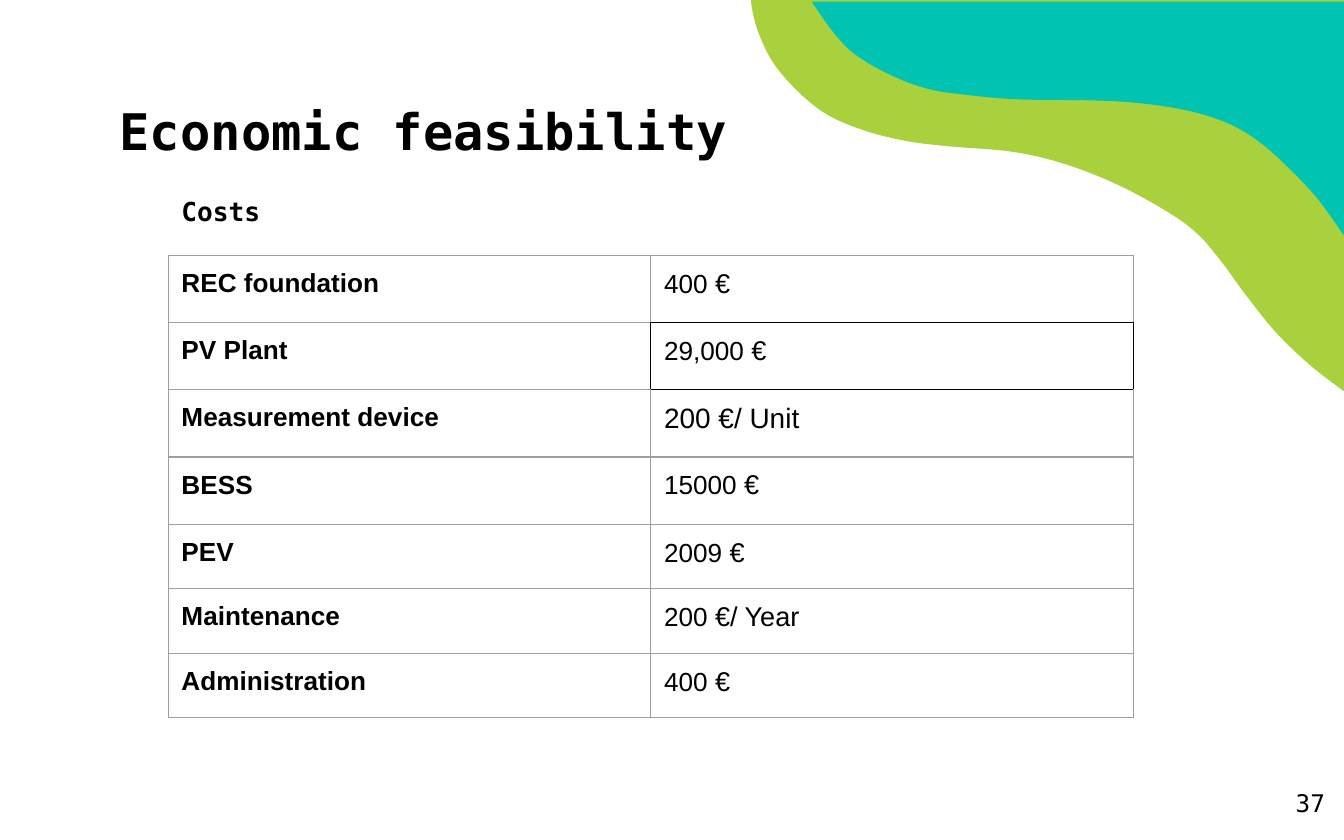
"""Build the economic feasibility slide with its cost table."""
import pptx
import pptx.dml.color
import pptx.enum.text
import pptx.oxml
import pptx.oxml.ns
import pptx.util

Cm = pptx.util.Cm
MONO = "DejaVu Sans Mono"


def rgb(value):
    """Return the colour for a hex string."""
    return pptx.dml.color.RGBColor.from_string(value)


def add_text(tf, text, size=14, font="Arial", color="000000", bold=False, align="LEFT", anchor="TOP"):
    """Add a formatted run to the first paragraph of a text frame."""
    tf.word_wrap = True
    tf.auto_size = pptx.enum.text.MSO_AUTO_SIZE.NONE
    tf.vertical_anchor = getattr(pptx.enum.text.MSO_ANCHOR, anchor)
    tf.margin_left = tf.margin_right = tf.margin_top = tf.margin_bottom = Cm(0.25)
    p = tf.paragraphs[0]
    p.alignment = getattr(pptx.enum.text.PP_ALIGN, align)
    r = p.add_run()
    r.text = text
    r.font.size = pptx.util.Pt(size)
    r.font.name = font
    r.font.bold = bold
    r.font.color.rgb = rgb(color)


prs = pptx.Presentation()
prs.slide_width, prs.slide_height = Cm(25.4), Cm(15.88)
s = prs.slides.add_slide(prs.slide_layouts[5])

waves = [
    ("A8D13D", [(31.88, -4.14), (31.88, 7.47)],
     [(25.5, 7.47), (24.79, 6.93), (24.13, 6.3), (23.57, 5.61), (23.11, 4.98),
      (22.66, 4.45), (22.12, 4.04), (21.16, 3.51), (20.12, 3.1), (19.13, 2.87),
      (17.96, 2.77), (17.15, 2.67), (16.31, 2.46), (15.54, 2.11), (14.86, 1.5),
      (14.45, 0.89), (14.2, 0.08), (14.17, -1.14), (14.07, -2.16),
      (13.74, -2.84), (13.21, -3.48), (12.4, -4.14)]),
    ("00C3B1", [(25.4, 0.03)],
     [(25.4, 4.45), (24.92, 3.78), (24.41, 3.23), (23.85, 2.72), (23.27, 2.36),
      (22.53, 2.11), (21.62, 1.96), (20.68, 1.9), (19.25, 1.88), (18.31, 1.8),
      (17.53, 1.68), (16.79, 1.4), (16.15, 1.02), (15.75, 0.61), (15.34, 0.03)]),
]
steps = 6
for color, corners, knots in waves:
    padded = [knots[0], *knots, knots[-1]]
    curve = []
    for quad in zip(padded, padded[1:], padded[2:], padded[3:]):
        for t in (i / steps for i in range(steps)):
            curve.append(tuple(
                b + t * (c - a) / 2 + t**2 * (2 * a - 5 * b + 4 * c - d) / 2
                + t**3 * (3 * b - a - 3 * c + d) / 2
                for a, b, c, d in zip(*quad)))
    points = [(Cm(x), Cm(y)) for x, y in [*curve, knots[-1], *corners]]
    fb = s.shapes.build_freeform(*points[0])
    fb.add_line_segments(points[1:], close=True)
    sp = fb.convert_to_shape()
    sp.shadow.inherit = False
    sp.fill.solid()
    sp.fill.fore_color.rgb = rgb(color)
    sp.line.fill.background()

title = s.shapes.title
title.left, title.top, title.width, title.height = Cm(2.01), Cm(1.68), Cm(15.32), Cm(1.55)
add_text(title.text_frame, "Economic feasibility", size=27, font=MONO, bold=True, anchor="MIDDLE")

number = s.shapes.add_textbox(Cm(23.77), Cm(14.66), Cm(1.52), Cm(1.22))
add_text(number.text_frame, "37", size=13, font=MONO, align="RIGHT")

costs = [
    ("REC foundation", "400 ", "€", 14, 14.5),
    ("PV Plant", "29,000 ", "€", 14, 14.5),
    ("Measurement device", "200 ", "€/ Unit", 15, 15),
    ("BESS", "15000 ", "€", 14, 14.5),
    ("PEV", "2009 ", "€", 14, 14.5),
    ("Maintenance", "200 ", "€/ Year", 14, 14.5),
    ("Administration", "400 ", "€", 14, 14.5),
]
table = s.shapes.add_table(len(costs), 2, Cm(3.18), Cm(4.83), Cm(18.24), Cm(8.74)).table
table.first_row = table.horz_banding = False
for column in table.columns:
    column.width = Cm(9.12)
black_edges = {(0, 1, "B"), (1, 0, "R"), (2, 1, "T")}
for row, (item, amount, unit, amount_size, unit_size) in enumerate(costs):
    table.rows[row].height = Cm(1.27 if row < 4 else 1.22)
    for col in range(2):
        cell = table.cell(row, col)
        tcPr = cell._tc.get_or_add_tcPr()
        for side in "LRTB":
            black = (row, col) == (1, 1) or (row, col, side) in black_edges
            tcPr.append(pptx.oxml.parse_xml(
                f'<a:ln{side} {pptx.oxml.ns.nsdecls("a")} w="9525"><a:solidFill>'
                f'<a:srgbClr val="{"000000" if black else "9E9E9E"}"/>'
                f'</a:solidFill></a:ln{side}>'))
        cell.fill.background()
        cell.margin_left = cell.margin_right = cell.margin_top = cell.margin_bottom = Cm(0.25)
    add_text(table.cell(row, 0).text_frame, item, bold=True)
    add_text(table.cell(row, 1).text_frame, amount, size=amount_size)
    add_text(table.cell(row, 1).text_frame, unit, size=unit_size)

heading = s.shapes.add_textbox(Cm(3.18), Cm(3.45), Cm(3.25), Cm(1.12))
add_text(heading.text_frame, "Costs", font=MONO, bold=True)

prs.save("out.pptx")
